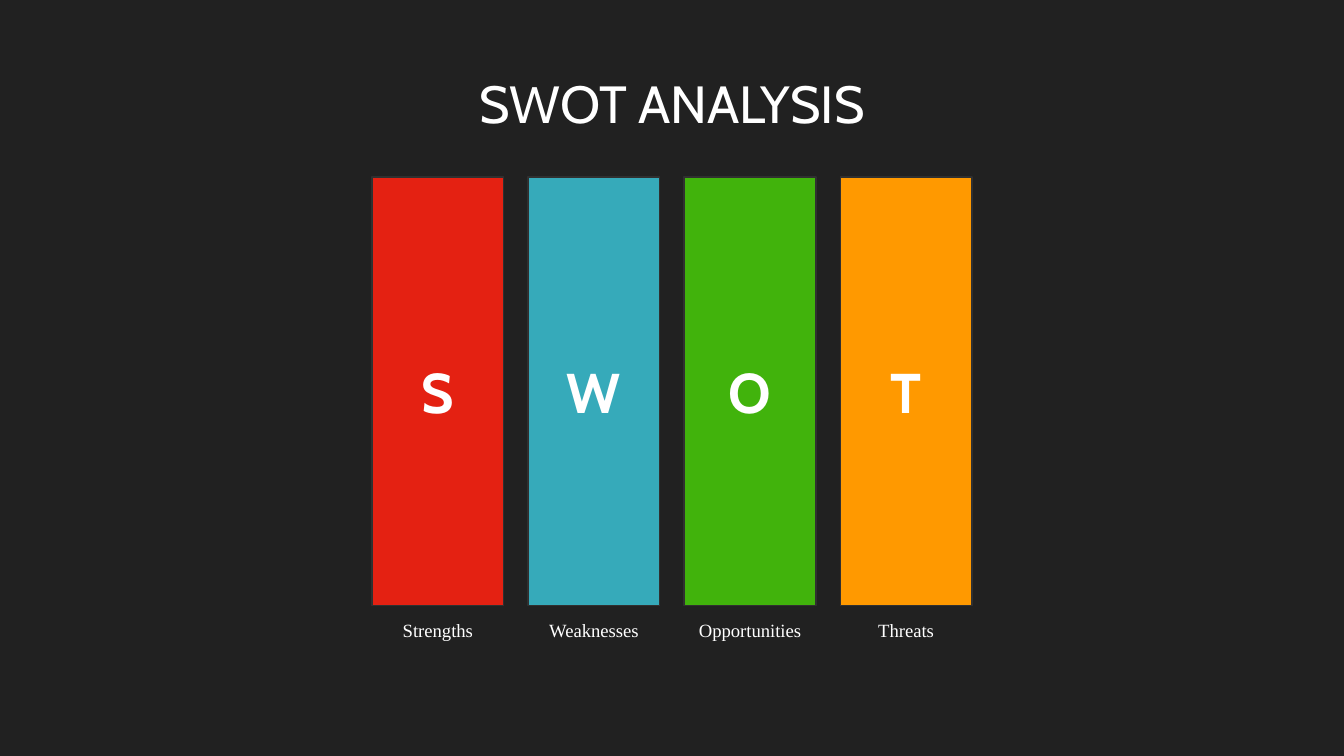
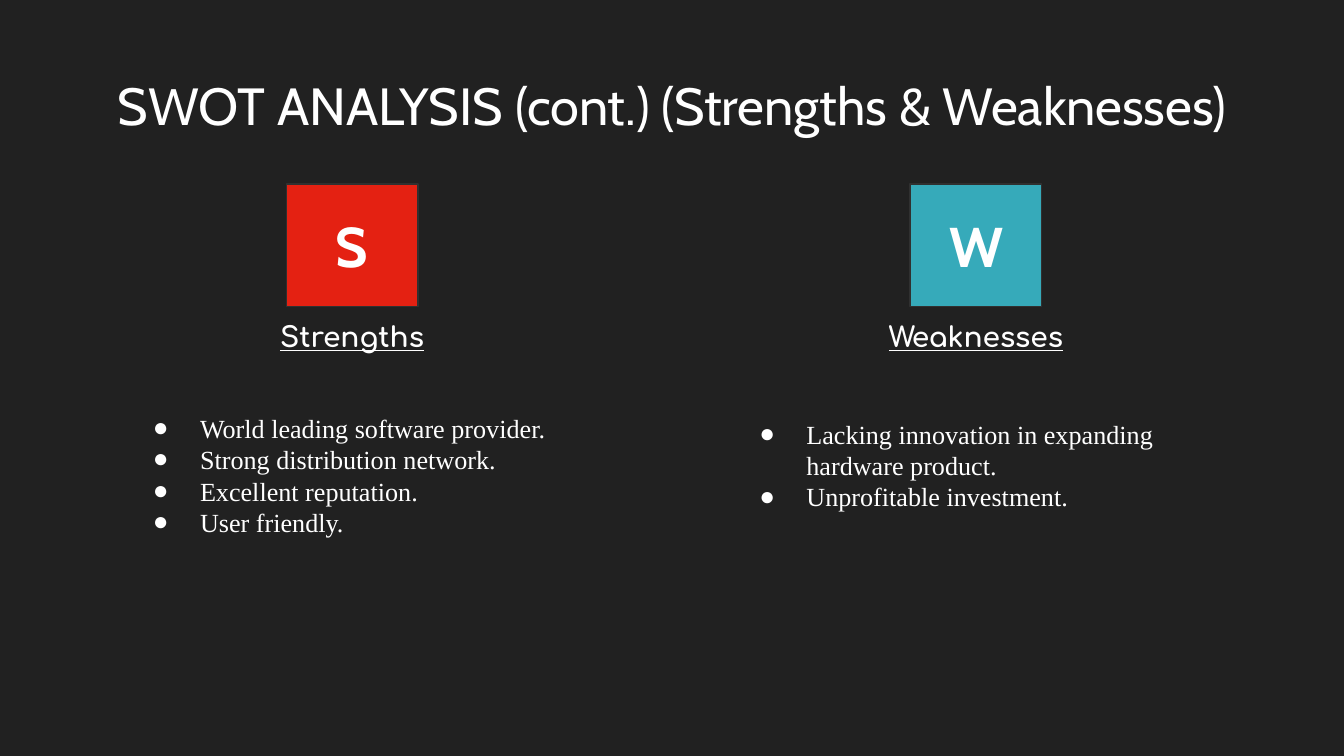
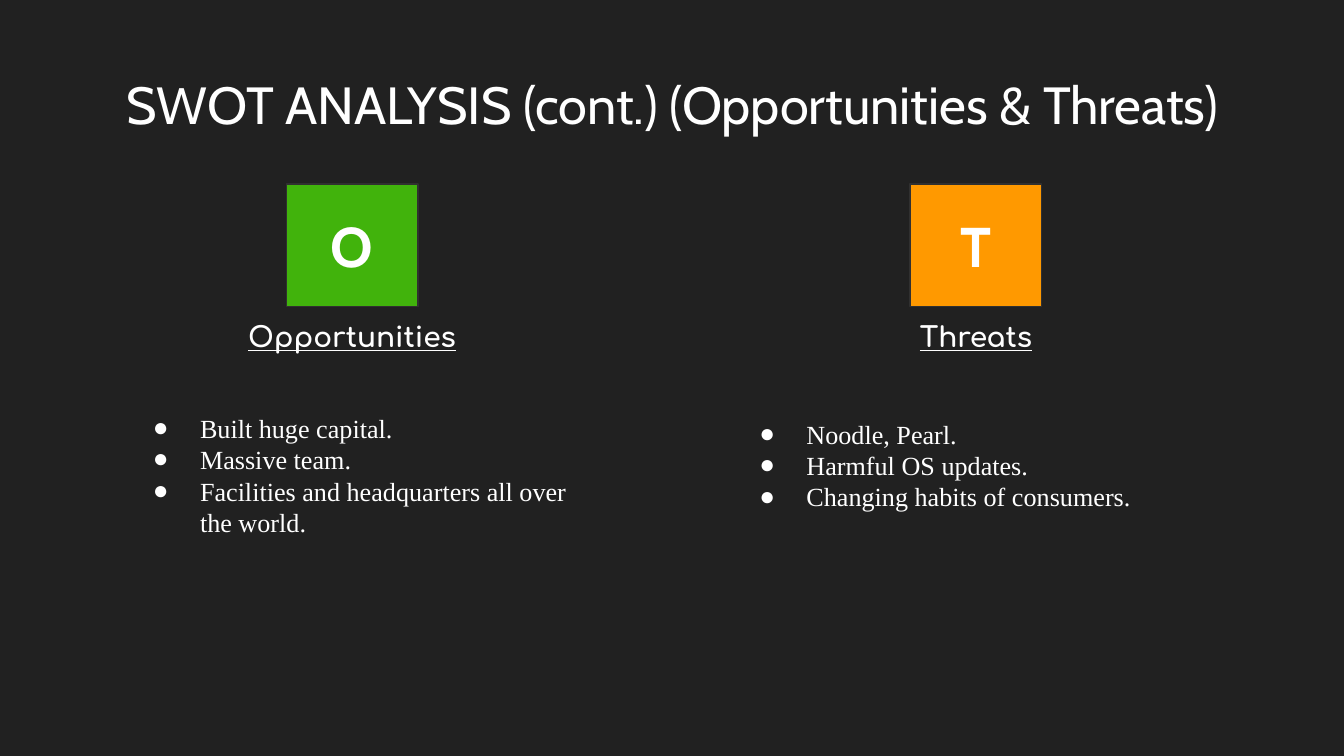
from collections import namedtuple

from lxml.etree import SubElement
from pptx import Presentation
from pptx.dml.color import RGBColor
from pptx.enum.shapes import MSO_SHAPE
from pptx.enum.text import MSO_ANCHOR, MSO_AUTO_SIZE, PP_ALIGN
from pptx.oxml.ns import qn
from pptx.util import Cm, Pt

BACKGROUND = RGBColor(0x21, 0x21, 0x21)
BORDER = RGBColor(0x30, 0x30, 0x30)
WHITE = RGBColor(0xFF, 0xFF, 0xFF)
RED = RGBColor(0xFF, 0x22, 0x11)
TEAL = RGBColor(0x3B, 0xC5, 0xD8)
GREEN = RGBColor(0x49, 0xD6, 0x08)
ORANGE = RGBColor(0xFF, 0x99, 0x00)

Box = namedtuple("Box", "left top width height")
Topic = namedtuple("Topic", "name color opacity heading_width points")

SLIDE_WIDTH, SLIDE_HEIGHT = 25.4, 14.29
TITLE_ONLY, TWO_CONTENT = 5, 3
TILE_WIDTH = 2.49
TITLE_HEIGHT = 1.6
CAPTION_HEIGHT = 0.81
LIST_BOXES = (Box(2.26, 7.54, 8.76, 3.58), Box(13.72, 7.65, 9.42, 3.4))
TILE_BOXES = tuple(Box(left, 3.48, TILE_WIDTH, 2.31) for left in (5.41, 17.2))

TITLE_FONT = {"name": "Cabin", "size": Pt(28), "bold": False}
LETTER_FONT = {"name": "Cabin", "size": Pt(30), "bold": True}
CAPTION_FONT = {"name": "Times New Roman", "size": Pt(10)}
HEADING_FONT = {"name": "Comfortaa", "size": Pt(15), "bold": True, "underline": True}
LIST_FONT = {"name": "Times New Roman", "size": Pt(14)}
FRAME_FORMAT = {
    "word_wrap": True,
    "auto_size": MSO_AUTO_SIZE.NONE,
    "margin_left": Cm(0.25),
    "margin_right": Cm(0.25),
    "margin_top": Cm(0.25),
    "margin_bottom": Cm(0.25),
}

STRENGTHS = Topic("Strengths", RED, 88, 4.11, (
    "World leading software provider.",
    "Strong distribution network.",
    "Excellent reputation.",
    "User friendly.",
))
WEAKNESSES = Topic("Weaknesses", TEAL, 84, 4.11, (
    "Lacking innovation in expanding hardware product.",
    "Unprofitable investment.",
))
OPPORTUNITIES = Topic("Opportunities", GREEN, 81, 5.11, (
    "Built huge capital.",
    "Massive team.",
    "Facilities and headquarters all over the world.",
))
THREATS = Topic("Threats", ORANGE, 100, 3.2, (
    "Noodle, Pearl.",
    "Harmful OS updates.",
    "Changing habits of consumers.",
))
TOPICS = (STRENGTHS, WEAKNESSES, OPPORTUNITIES, THREATS)


def apply_format(target, values):
    """Set every attribute named in values on target."""
    for name, value in values.items():
        setattr(target, name, value)


def place(shape, box):
    """Move and size a shape to a box given in centimetres."""
    apply_format(shape, {name: Cm(value) for name, value in box._asdict().items()})


def write_text(shape, lines, font, align=PP_ALIGN.CENTER, anchor=MSO_ANCHOR.TOP):
    """Fill a shape with formatted white paragraphs and return them."""
    frame = shape.text_frame
    frame.text = "\n".join(lines)
    apply_format(frame, {**FRAME_FORMAT, "vertical_anchor": anchor})
    for paragraph in frame.paragraphs:
        apply_format(paragraph, {"alignment": align, "space_before": Pt(0)})
        run_font = paragraph.runs[0].font
        apply_format(run_font, font)
        run_font.color.rgb = WHITE
    return frame.paragraphs


def add_bullet(paragraph):
    """Give a paragraph a white round bullet with a hanging indent."""
    properties = paragraph._p.get_or_add_pPr()
    properties.set("marL", str(Cm(1.27)))
    properties.set("indent", str(Cm(-0.89)))
    color = SubElement(properties, qn("a:buClr"))
    SubElement(color, qn("a:srgbClr"), val=str(WHITE))
    SubElement(properties, qn("a:buFont"), typeface=LIST_FONT["name"])
    SubElement(properties, qn("a:buChar"), char="●")


def add_title(slide, text, top, width):
    """Place the slide title, centred across the slide."""
    place(slide.shapes.title, Box((SLIDE_WIDTH - width) / 2, top, width, TITLE_HEIGHT))
    write_text(slide.shapes.title, [text], TITLE_FONT)


def add_tile(slide, topic, box):
    """Draw a coloured tile with the initial of its topic."""
    tile = slide.shapes.add_shape(MSO_SHAPE.RECTANGLE, 0, 0, 0, 0)
    place(tile, box)
    tile.shadow.inherit = False
    tile.fill.solid()
    tile.fill.fore_color.rgb = topic.color
    if topic.opacity < 100:
        color = tile.fill._xPr.find(f".//{qn('a:srgbClr')}")
        SubElement(color, qn("a:alpha"), val=str(topic.opacity * 1000))
    tile.line.color.rgb = BORDER
    tile.line.width = Pt(0.75)
    write_text(tile, [topic.name[0]], LETTER_FONT, anchor=MSO_ANCHOR.MIDDLE)


def add_caption(slide, topic, tile_box, width, font):
    """Write the topic name centred just below its tile."""
    left = tile_box.left + (tile_box.width - width) / 2
    caption = slide.shapes.add_textbox(0, 0, 0, 0)
    place(caption, Box(left, tile_box.top + tile_box.height, width, CAPTION_HEIGHT))
    write_text(caption, [topic.name], font)


def add_list(placeholder, points, box):
    """Fill a body placeholder with bulleted points."""
    place(placeholder, box)
    for paragraph in write_text(placeholder, points, LIST_FONT, PP_ALIGN.LEFT):
        add_bullet(paragraph)


def add_overview_slide(presentation):
    """Build the slide with four tall columns, centred as a row."""
    slide = presentation.slides.add_slide(presentation.slide_layouts[TITLE_ONLY])
    add_title(slide, "SWOT ANALYSIS", 1.09, 17.98)
    pitch = 2.95
    row_width = pitch * (len(TOPICS) - 1) + TILE_WIDTH
    row_left = (SLIDE_WIDTH - row_width) / 2
    for index, topic in enumerate(TOPICS):
        box = Box(row_left + index * pitch, 3.35, TILE_WIDTH, 8.1)
        add_tile(slide, topic, box)
        add_caption(slide, topic, box, TILE_WIDTH, CAPTION_FONT)


def add_detail_slide(presentation, topics, title_top, title_width):
    """Build a slide that sets two topics side by side."""
    slide = presentation.slides.add_slide(presentation.slide_layouts[TWO_CONTENT])
    names = " & ".join(topic.name for topic in topics)
    add_title(slide, f"SWOT ANALYSIS (cont.) ({names})", title_top, title_width)
    bodies = list(slide.placeholders)[1:]
    for topic, body, tile_box, list_box in zip(topics, bodies, TILE_BOXES, LIST_BOXES):
        add_tile(slide, topic, tile_box)
        add_caption(slide, topic, tile_box, topic.heading_width, HEADING_FONT)
        add_list(body, topic.points, list_box)


def main():
    """Build and save the presentation."""
    presentation = Presentation()
    presentation.slide_width = Cm(SLIDE_WIDTH)
    presentation.slide_height = Cm(SLIDE_HEIGHT)
    background = presentation.slide_master.background.fill
    background.solid()
    background.fore_color.rgb = BACKGROUND
    add_overview_slide(presentation)
    add_detail_slide(presentation, (STRENGTHS, WEAKNESSES), 1.14, 22.3)
    add_detail_slide(presentation, (OPPORTUNITIES, THREATS), 1.12, 22.99)
    presentation.save("out.pptx")


if __name__ == "__main__":
    main()
